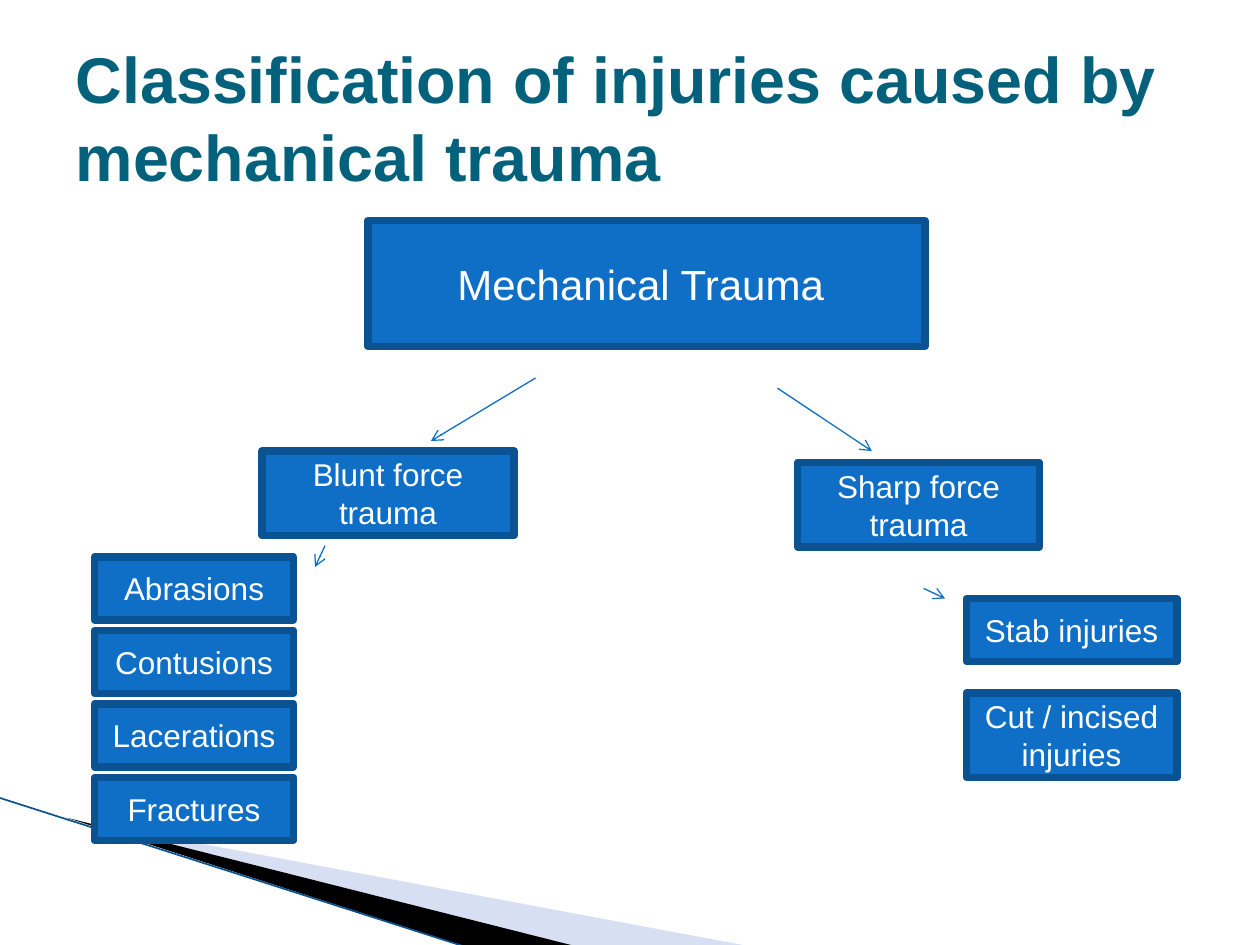
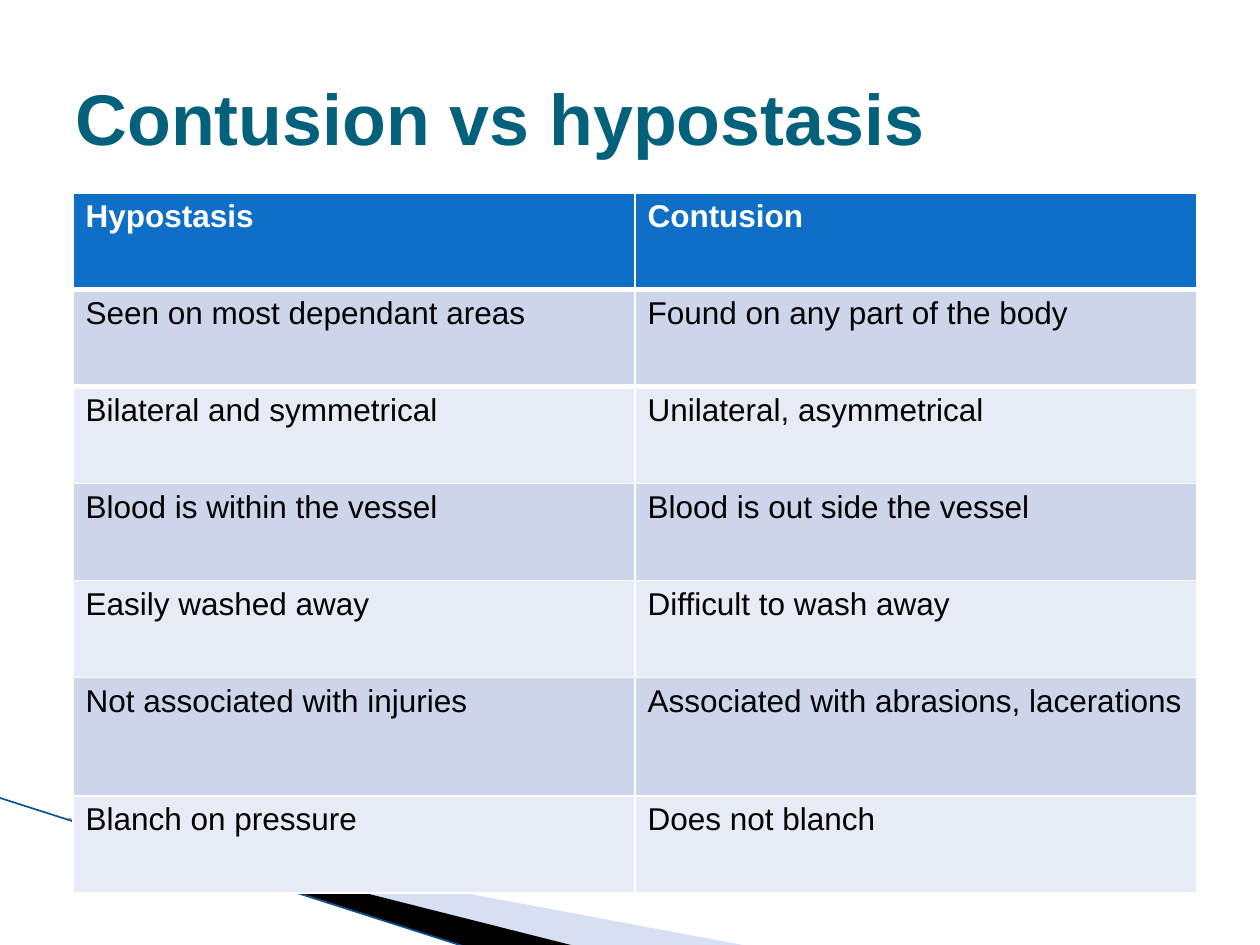
from lxml import etree
from pptx import Presentation
from pptx.dml.color import RGBColor
from pptx.enum.shapes import MSO_CONNECTOR, MSO_SHAPE
from pptx.enum.text import MSO_ANCHOR, MSO_AUTO_SIZE, PP_ALIGN
from pptx.oxml.ns import qn
from pptx.util import Inches, Pt

STRAIGHT = MSO_CONNECTOR.STRAIGHT
RECTANGLE = MSO_SHAPE.RECTANGLE
MIDDLE = MSO_ANCHOR.MIDDLE
NO_AUTOFIT = MSO_AUTO_SIZE.NONE
LEFT, CENTER = PP_ALIGN.LEFT, PP_ALIGN.CENTER

TEAL = RGBColor(0x04, 0x61, 0x7B)
BLUE = RGBColor(0x0F, 0x6F, 0xC6)
DARK_BLUE = RGBColor(0x0B, 0x52, 0x92)
PALE_BLUE = RGBColor(0x9D, 0xB2, 0xE1)
ROW_DARK = RGBColor(0xCC, 0xD5, 0xEA)
ROW_LIGHT = RGBColor(0xE7, 0xEB, 0xF5)
BLACK = RGBColor(0, 0, 0)
WHITE = RGBColor(0xFF, 0xFF, 0xFF)
FONT = "Arial"

TITLES = [
    ("Classification of injuries caused by mechanical trauma", 36.9),
    ("Contusion vs hypostasis", 41),
]
BANDS = [
    (PALE_BLUE, [(0.55, 6.5), (5.95, 7.51), (4.56, 7.51)]),
    (BLACK, [(0.53, 6.49), (4.57, 7.51), (3.72, 7.52)]),
]


def format_text(paragraph, size, color, bold=False):
    for run in paragraph.runs:
        run.font.name = FONT
        run.font.size = Pt(size)
        run.font.bold = bold
        run.font.color.rgb = color


def add_line(slide, start, end, color, width, arrow=False):
    connector = slide.shapes.add_connector(
        STRAIGHT, *[Inches(value) for value in start + end])
    connector.line.color.rgb = color
    connector.line.width = Pt(width)
    if arrow:
        etree.SubElement(connector.line._get_or_add_ln(), qn("a:tailEnd"), type="arrow")
    etree.SubElement(connector._element.spPr, qn("a:effectLst"))


presentation = Presentation()
presentation.slide_width = Inches(10)
presentation.slide_height = Inches(7.5)

slides = []
for title_text, title_size in TITLES:
    slide = presentation.slides.add_slide(presentation.slide_layouts[5])
    slides.append(slide)
    for color, points in BANDS:
        corners = [(Inches(x), Inches(y)) for x, y in points]
        builder = slide.shapes.build_freeform(*corners[0])
        builder.add_line_segments(corners[1:])
        band = builder.convert_to_shape()
        band.shadow.inherit = False
        band.fill.solid()
        band.fill.fore_color.rgb = color
        band.line.fill.background()
        if color == PALE_BLUE:
            color_element = band._element.spPr.find(".//" + qn("a:srgbClr"))
            etree.SubElement(color_element, qn("a:alpha"), val="40000")
    add_line(slide, (-0.01, 6.33), (3.71, 7.52), DARK_BLUE, 0.95)

    title = slide.shapes.title
    title.left, title.top = Inches(0.5), Inches(0.3)
    title.width, title.height = Inches(9), Inches(1.25)
    title_frame = title.text_frame
    title_frame.text = title_text
    title_frame.word_wrap = True
    title_frame.auto_size = NO_AUTOFIT
    title_frame.vertical_anchor = MIDDLE
    paragraph = title_frame.paragraphs[0]
    paragraph.alignment = LEFT
    format_text(paragraph, title_size, TEAL, bold=True)

classification, comparison = slides

boxes = [
    ("Mechanical Trauma ", 2.92, 1.75, 4.42, 1, 24),
    ("Blunt force trauma", 2.08, 3.58, 2, 0.67, 18),
    ("Sharp force trauma", 6.33, 3.67, 1.92, 0.67, 18),
    ("Stab injuries", 7.67, 4.75, 1.67, 0.5, 18),
    ("Cut / incised injuries", 7.67, 5.5, 1.67, 0.67, 18),
]
blunt_injuries = ["Abrasions", "Contusions", "Lacerations", "Fractures"]
for index, injury in enumerate(blunt_injuries):
    boxes.append((injury, 0.75, 4.42 + index * 1.75 / 3, 1.58, 0.5, 18))

for text, left, top, width, height, size in boxes:
    box = classification.shapes.add_shape(
        RECTANGLE, Inches(left), Inches(top), Inches(width), Inches(height))
    box.shadow.inherit = False
    box.fill.solid()
    box.fill.fore_color.rgb = BLUE
    box.line.color.rgb = DARK_BLUE
    box.line.width = Pt(4.33)
    box.text_frame.text = text
    box.text_frame.word_wrap = True
    box.text_frame.vertical_anchor = MIDDLE
    paragraph = box.text_frame.paragraphs[0]
    paragraph.alignment = CENTER
    format_text(paragraph, size, WHITE)

arrows = [
    ((4.25, 3), (3.42, 3.5)),
    ((6.17, 3.08), (6.92, 3.58)),
    ((2.58, 4.33), (2.5, 4.5)),
    ((7.33, 4.67), (7.5, 4.75)),
]
for start, end in arrows:
    add_line(classification, start, end, BLUE, 0.75, arrow=True)

comparison_rows = [
    ("Hypostasis", "Contusion"),
    ("Seen on most dependant areas", "Found on any part of the body"),
    ("Bilateral and symmetrical", "Unilateral, asymmetrical"),
    ("Blood is within the vessel", "Blood is out side the vessel"),
    ("Easily washed away", "Difficult to wash away"),
    ("Not associated with injuries", "Associated with abrasions, lacerations"),
    ("Blanch on pressure", "Does not blanch"),
]
row_heights = [0.77] * 5 + [0.94, 0.77]
header_border_sides = {0: "a:lnB", 1: "a:lnT"}
table = comparison.shapes.add_table(
    len(comparison_rows), 2, Inches(0.58), Inches(1.53),
    Inches(8.92), Inches(sum(row_heights))).table
for row_index, row_texts in enumerate(comparison_rows):
    table.rows[row_index].height = Inches(row_heights[row_index])
    is_header = row_index == 0
    if is_header:
        fill_color = BLUE
    else:
        fill_color = ROW_DARK if row_index % 2 else ROW_LIGHT
    for column_index, text in enumerate(row_texts):
        cell = table.cell(row_index, column_index)
        cell.fill.solid()
        cell.fill.fore_color.rgb = fill_color
        cell.text_frame.text = text
        format_text(cell.text_frame.paragraphs[0], 18,
                    WHITE if is_header else BLACK, bold=is_header)
        if row_index in header_border_sides:
            border = etree.Element(qn(header_border_sides[row_index]), w=str(Pt(3)))
            border_fill = etree.SubElement(border, qn("a:solidFill"))
            etree.SubElement(border_fill, qn("a:srgbClr"), val=str(WHITE))
            cell._tc.get_or_add_tcPr().insert(0, border)

presentation.save("out.pptx")
